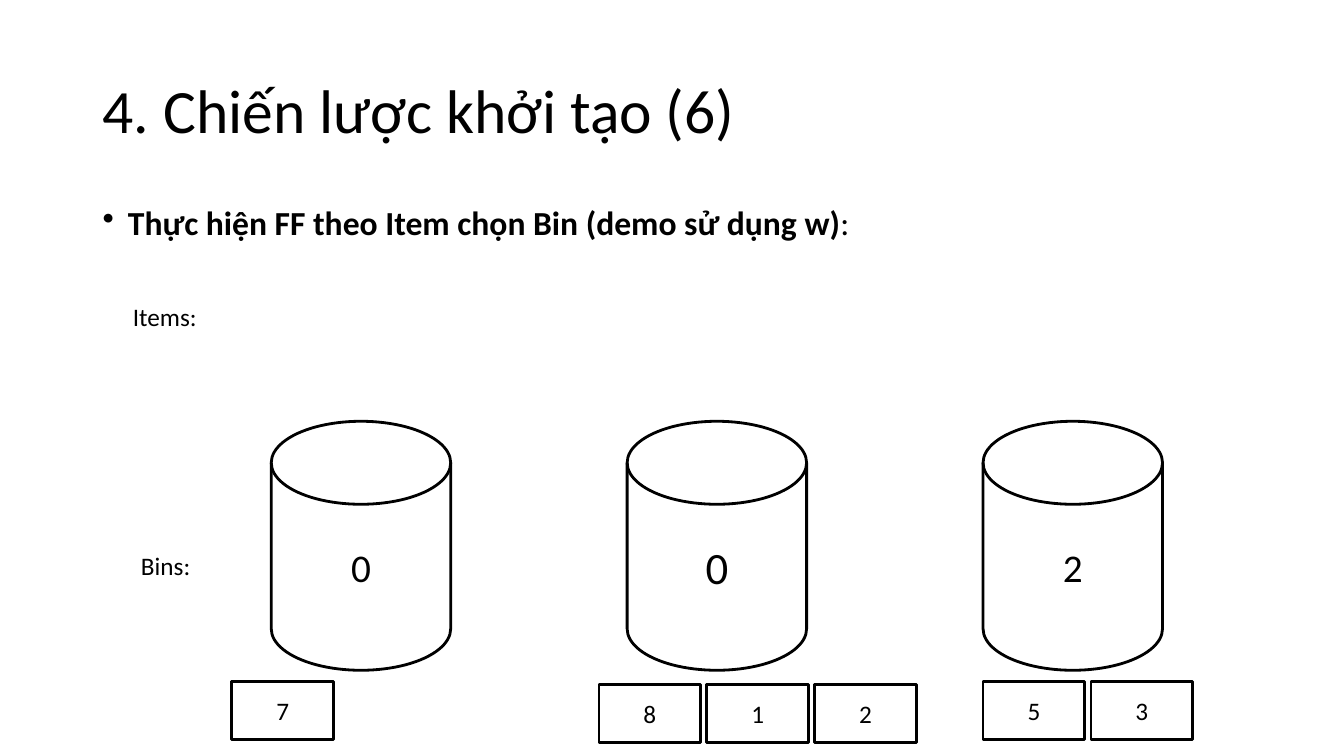
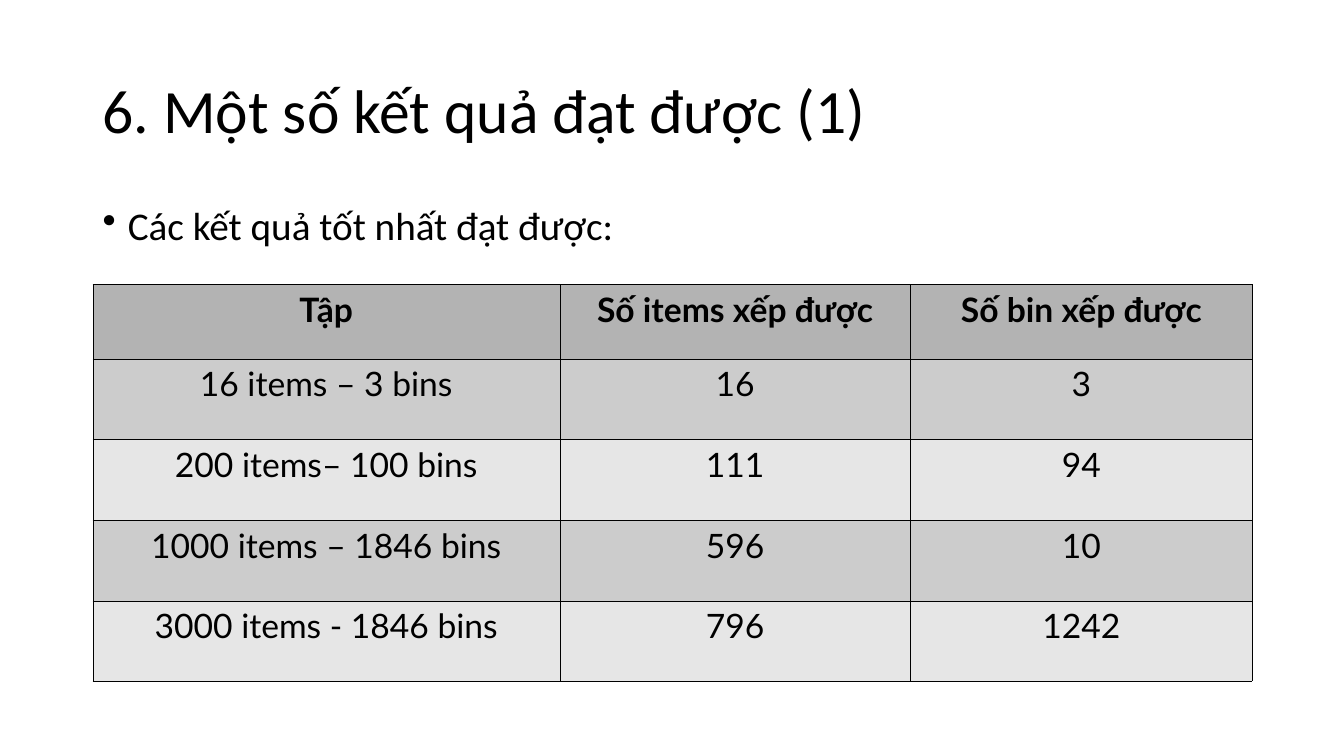
from lxml import etree
from pptx import Presentation
from pptx import util as u
from pptx.dml.color import RGBColor
from pptx.enum import shapes, text
from pptx.oxml.ns import qn

BLACK, WHITE = "000000", "FFFFFF"
HEADER_GREY, ROW_GREYS = "B3B3B3", ("CCCCCC", "E6E6E6")
rgb = RGBColor.from_string

deck = Presentation()
deck.slide_width, deck.slide_height = u.Inches(13.33), u.Inches(7.5)
MARGIN, CONTENT_WIDTH = 0.92, 11.5


def write(frame, words, size, font="Calibri", bold=False, align=text.PP_ALIGN.LEFT):
    """Put one styled paragraph into a text frame and return it."""
    para = frame.paragraphs[0]
    para.alignment = align
    para.font.name, para.font.size, para.font.bold = font, u.Pt(size), bold
    para.font.color.rgb = rgb(BLACK)
    para.add_run().text = words
    return para


def add_box(page, place, words, size, preset=None, wrap=True, middle=True):
    """Add a text box, or an outlined shape with centred text if a preset is given."""
    place = [u.Inches(length) for length in place]
    if preset is None:
        box = page.shapes.add_textbox(*place)
        align = text.PP_ALIGN.LEFT
    else:
        box = page.shapes.add_shape(preset, *place)
        box.shadow.inherit = False
        box.fill.solid()
        box.fill.fore_color.rgb = rgb(WHITE)
        box.line.color.rgb = rgb(BLACK)
        box.line.width = u.Pt(2)
        align = text.PP_ALIGN.CENTER
    frame = box.text_frame
    frame.word_wrap = wrap
    frame.vertical_anchor = text.MSO_ANCHOR.MIDDLE if middle else text.MSO_ANCHOR.TOP
    return write(frame, words, size, align=align)


# Both slides: title and one bulleted line
pages, bullets = [], []
for title, lead, lead_size in (
    ("4. Chiến lược khởi tạo (6)", "Thực hiện FF theo Item chọn Bin (demo sử dụng w)", 24),
    ("6. Một số kết quả đạt được (1)", "Các kết quả tốt nhất đạt được:", 28),
):
    page = deck.slides.add_slide(deck.slide_layouts[6])
    heading = add_box(page, (MARGIN, 0.4, CONTENT_WIDTH, 1.45), title, 44)
    bullet = add_box(page, (MARGIN, 2, CONTENT_WIDTH, 4.76), lead, lead_size, middle=False)
    heading.line_spacing = bullet.line_spacing = 0.9
    bullet.space_before = u.Pt(10)
    properties = bullet._p.get_or_add_pPr()
    properties.set("marL", str(u.Inches(0.25)))
    properties.set("indent", str(-u.Inches(0.25)))
    mark = etree.Element(qn("a:buChar"), char="•")
    properties.find(qn("a:spcBef")).addnext(mark)
    pages.append(page)
    bullets.append(bullet)

# Slide 1: items packed into three bins
packing_page, results_page = pages
bullets[0].runs[0].font.bold = True
bullets[0].add_run().text = ":"

TILE_WIDTH, TILE_HEIGHT, TILE_STEP = 1.01, 0.58, 1.07
for left, top, weights in ((2.3, 6.76, "7"), (5.94, 6.79, "812"), (9.75, 6.76, "53")):
    for column, weight in enumerate(weights):
        add_box(packing_page, (left + column * TILE_STEP, top, TILE_WIDTH, TILE_HEIGHT),
                weight, 18, shapes.MSO_SHAPE.RECTANGLE)

BIN_LEFT, BIN_STEP = 2.69, 3.53
for column, (space_left, size) in enumerate((("0", 28), ("0", 32), ("2", 28))):
    add_box(packing_page, (BIN_LEFT + column * BIN_STEP, 4.18, 1.78, 2.47),
            space_left, size, shapes.MSO_SHAPE.FLOWCHART_MAGNETIC_DISK)

for label, place in (("Items:", (1.22, 2.94, 0.98, 0.4)), ("Bins:", (1.3, 5.41, 0.81, 0.4))):
    add_box(packing_page, place, label, 18, wrap=False, middle=False)

# Slide 2: table of results
results = (
    ("Tập", "Số items xếp được", "Số bin xếp được"),
    ("16 items – 3 bins", "16", "3"),
    ("200 items– 100 bins", "111", "94"),
    ("1000 items – 1846 bins", "596", "10"),
    ("3000 items - 1846 bins", "796", "1242"),
)
COLUMN_WIDTHS = (4.63, 3.48, 3.39)
HEADER_HEIGHT, ROW_HEIGHT = 0.74, 0.8
table = results_page.shapes.add_table(
    len(results), len(COLUMN_WIDTHS), u.Inches(MARGIN), u.Inches(2.82),
    u.Inches(CONTENT_WIDTH), u.Inches(HEADER_HEIGHT + 4 * ROW_HEIGHT)).table
table.first_row = table.horz_banding = False
for column, width in zip(table.columns, COLUMN_WIDTHS):
    column.width = u.Inches(width)

for row, values in enumerate(results):
    is_header = row == 0
    table.rows[row].height = u.Inches(HEADER_HEIGHT if is_header else ROW_HEIGHT)
    for column, value in enumerate(values):
        cell = table.cell(row, column)
        write(cell.text_frame, value, 24, "Lato", is_header, text.PP_ALIGN.CENTER)
        for side in ("a:lnL", "a:lnR", "a:lnT", "a:lnB"):
            border = etree.SubElement(cell._tc.get_or_add_tcPr(), qn(side), w=str(u.Pt(0.06)))
            paint = etree.SubElement(border, qn("a:solidFill"))
            etree.SubElement(paint, qn("a:srgbClr"), val=BLACK)
        cell.fill.solid()
        cell.fill.fore_color.rgb = rgb(HEADER_GREY if is_header else ROW_GREYS[(row - 1) % 2])

deck.save("out.pptx")
